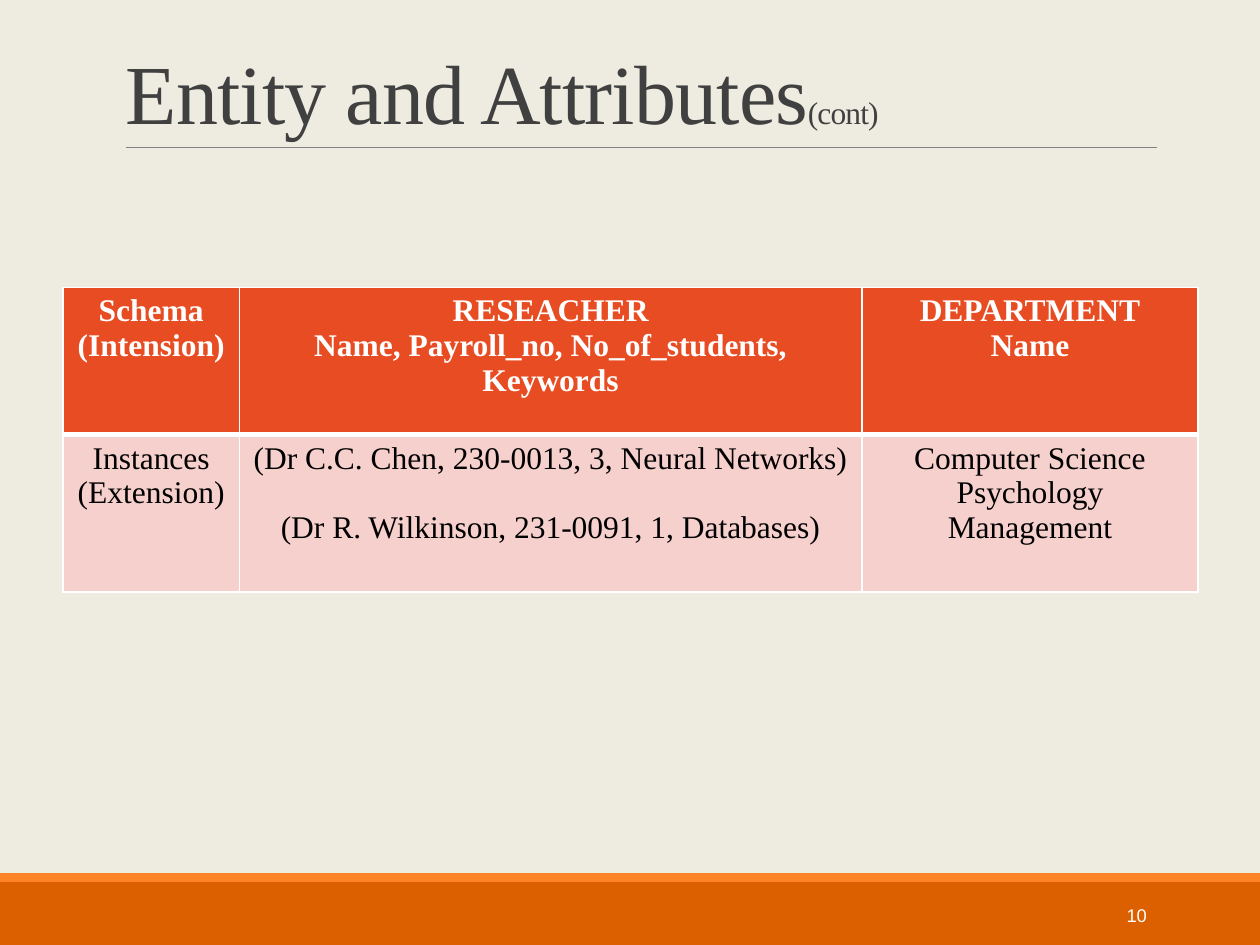
from lxml import etree
from pptx import Presentation
from pptx.dml.color import RGBColor
from pptx.enum.shapes import MSO_CONNECTOR, MSO_SHAPE
from pptx.enum.text import MSO_ANCHOR, PP_ALIGN
from pptx.oxml.ns import qn
from pptx.util import Inches, Pt

CENTER, LEFT, RIGHT = PP_ALIGN.CENTER, PP_ALIGN.LEFT, PP_ALIGN.RIGHT
BOTTOM, MIDDLE = MSO_ANCHOR.BOTTOM, MSO_ANCHOR.MIDDLE
SERIF, SANS = "Times New Roman", "Arial"
COLORS = {"background": "EEECE1", "footer": "DC5F00", "stripe": "FF8427",
          "rule": "808080", "title": "404040", "white": "FFFFFF",
          "black": "000000", "header": "E84C22", "body": "F6D0CD"}

# Content: each table cell is a list of paragraphs
TITLE = [("Entity and Attributes", 48), ("(cont)", 18)]
PAGE_NUMBER = "10"
ROWS = [
    [["Schema (Intension)"],
     ["RESEACHER", "Name, Payroll_no, No_of_students,", "Keywords"],
     ["DEPARTMENT", "Name"]],
    [["Instances (Extension)"],
     ["(Dr C.C. Chen, 230-0013, 3, Neural Networks)",
      "(Dr R. Wilkinson, 231-0091, 1, Databases)"],
     ["Computer Science", "Psychology", "Management"]],
]
ROW_STYLES = [
    {"fill": "header", "font": {"color": "white", "bold": True},
     "borders": {"lnL": 1, "lnR": 1, "lnT": 1, "lnB": 3}},
    {"fill": "body", "font": {"color": "black", "bold": False},
     "borders": {"lnL": 1, "lnR": 1, "lnT": 3, "lnB": 1}},
]
SPACED_CELL = (1, 1)  # its two records stand one line apart
COLUMN_WIDTHS = [1.4, 4.94, 2.67]
ROW_HEIGHTS = [1.17, 1.25]
BANDS = [("footer", 7, 0.5), ("stripe", 6.93, 0.07)]


def rgb(name):
    return RGBColor.from_string(COLORS[name])


def add_span(para, text, color, **font):
    span = para.add_run()
    span.text = text
    span.font.color.rgb = rgb(color)
    for key, value in font.items():
        setattr(span.font, key, value)
    return span


def add_box(page, area, anchor, align):
    box = page.shapes.add_textbox(*map(Inches, area))
    box.text_frame.word_wrap = True
    box.text_frame.vertical_anchor = anchor
    para = box.text_frame.paragraphs[0]
    para.alignment = align
    return para


def set_borders(cell, borders):
    properties = cell._tc.get_or_add_tcPr()
    for side, points in borders.items():
        line = etree.SubElement(properties, qn(f"a:{side}"), w=str(Pt(points)))
        fill = etree.SubElement(line, qn("a:solidFill"))
        etree.SubElement(fill, qn("a:srgbClr"), val=COLORS["white"])


def fill_cell(cell, lines, style, gap):
    set_borders(cell, style["borders"])
    cell.fill.solid()
    cell.fill.fore_color.rgb = rgb(style["fill"])
    frame = cell.text_frame
    for index, text in enumerate(lines):
        para = frame.add_paragraph() if index else frame.paragraphs[0]
        para.alignment = CENTER
        if index and gap:
            para.space_before = Pt(gap)
        add_span(para, text, name=SERIF, size=Pt(18), **style["font"])


deck = Presentation()
deck.slide_width, deck.slide_height = Inches(10), Inches(7.5)
page = deck.slides.add_slide(deck.slide_layouts[6])
page.background.fill.solid()
page.background.fill.fore_color.rgb = rgb("background")

# Footer bands
for color, top, height in BANDS:
    band = page.shapes.add_shape(MSO_SHAPE.RECTANGLE, 0, Inches(top),
                                 deck.slide_width, Inches(height))
    band.shadow.inherit = False
    band.fill.solid()
    band.fill.fore_color.rgb = rgb(color)
    band.line.fill.background()

# Rule under the title
rule = page.shapes.add_connector(MSO_CONNECTOR.STRAIGHT, Inches(1), Inches(1.17),
                                 Inches(9.18), Inches(1.17))
rule.line.color.rgb = rgb("rule")
rule.line.width = Pt(0.5)
etree.SubElement(rule._element.spPr, qn("a:effectLst"))

# Title
para = add_box(page, (0.9, 0.23, 8.25, 0.94), BOTTOM, LEFT)
para.line_spacing = 0.85
for text, size in TITLE:
    span = add_span(para, text, "title", name=SERIF, size=Pt(size))
    span._r.get_or_add_rPr().set("spc", "-50")

# Schema and instances table
table = page.shapes.add_table(len(ROWS), len(COLUMN_WIDTHS), Inches(0.5), Inches(2.28),
                              Inches(sum(COLUMN_WIDTHS)), Inches(sum(ROW_HEIGHTS))).table
for column, width in zip(table.columns, COLUMN_WIDTHS):
    column.width = Inches(width)
for row_index, (cells, style) in enumerate(zip(ROWS, ROW_STYLES)):
    table.rows[row_index].height = Inches(ROW_HEIGHTS[row_index])
    for column_index, lines in enumerate(cells):
        position = (row_index, column_index)
        fill_cell(table.cell(*position), lines, style,
                  20 if position == SPACED_CELL else 0)

# Page number
para = add_box(page, (8.12, 7.06, 1.08, 0.4), MIDDLE, RIGHT)
add_span(para, PAGE_NUMBER, "white", name=SANS, size=Pt(10.5))

deck.save("out.pptx")
